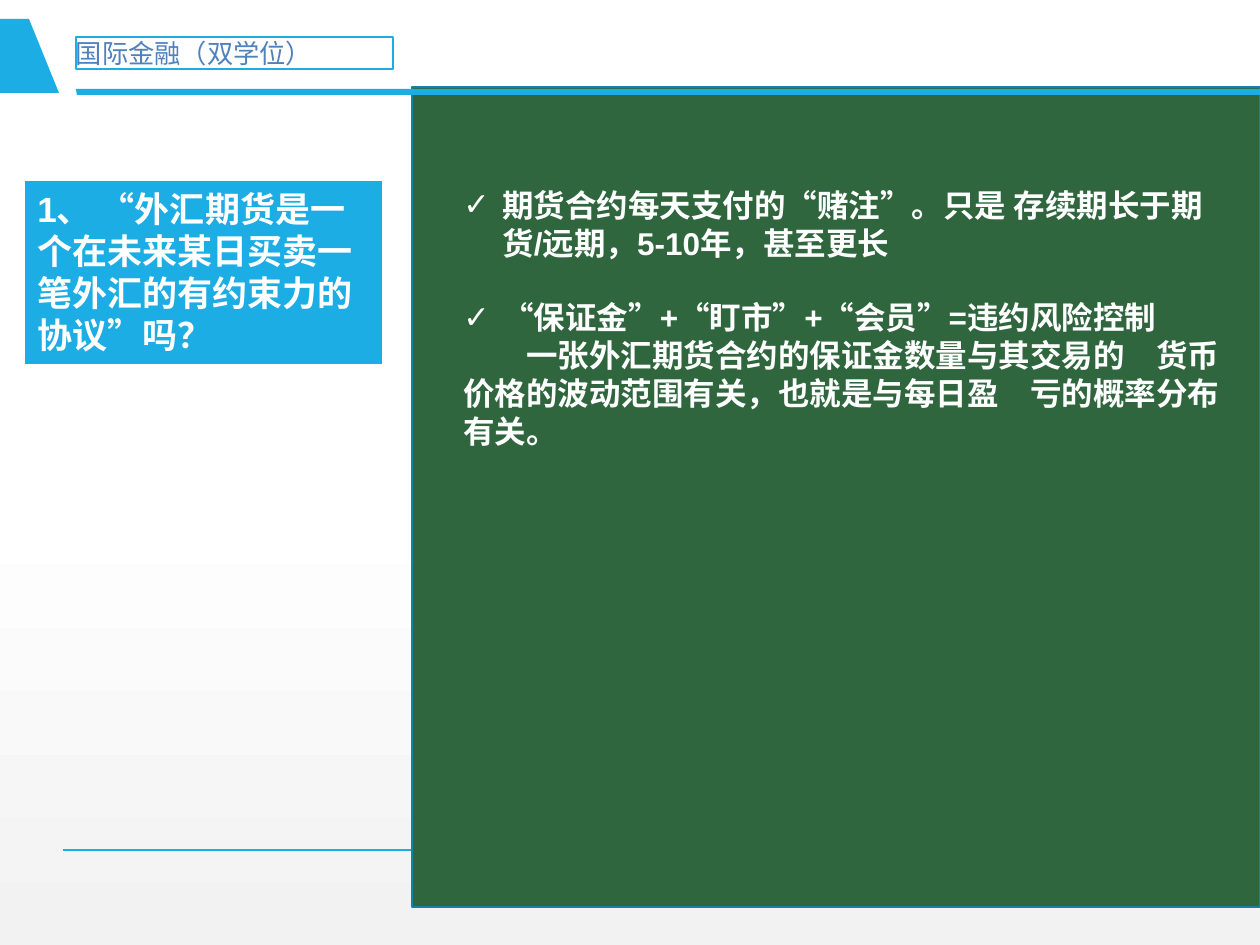
from lxml.etree import SubElement
from pptx import Presentation
from pptx.dml.color import RGBColor
from pptx.enum.shapes import MSO_CONNECTOR, MSO_SHAPE
from pptx.enum.text import MSO_ANCHOR, PP_ALIGN
from pptx.oxml.ns import qn
from pptx.util import Emu, Pt

SCALE = 914400 / 126
WIDTH, HEIGHT = 1260, 945
BLUE = RGBColor(0x1C, 0xAD, 0xE4)
DARK_BLUE = RGBColor(0x15, 0x80, 0xA9)
TITLE_BLUE = RGBColor(0x4F, 0x81, 0xBD)
GREEN = RGBColor(0x2F, 0x66, 0x3E)
WHITE = RGBColor(0xFF, 0xFF, 0xFF)
PALE = RGBColor(0xF2, 0xF2, 0xF2)

COURSE = "国际金融（双学位）"
QUESTION = "1、 “外汇期货是一个在未来某日买卖一笔外汇的有约束力的协议”吗？"
ANSWERS = [
    {"text": "期货合约每天支付的“赌注”。只是 存续期长于期货/远期，5-10年，甚至更长",
     "bullet": "✓"},
    {"text": "“保证金”+“盯市”+“会员”=违约风险控制",
     "bullet": "✓", "format": {"space_before": Pt(21)}},
    {"text": "\t一张外汇期货合约的保证金数量与其交易的\t货币价格的波动范围有关，"
             "也就是与每日盈\t亏的概率分布有关。"},
]


def px(value):
    return Emu(round(value * SCALE))


def apply(target, values):
    for name, value in values.items():
        setattr(target, name, value)


class Deck:
    font = "Arial"
    hang = 39

    def __init__(self):
        self.prs = Presentation()
        self.prs.slide_width, self.prs.slide_height = px(WIDTH), px(HEIGHT)
        self.s = self.prs.slides.add_slide(self.prs.slide_layouts[6])

    def background(self, top, bottom, start):
        fill = self.s.background.fill
        fill.gradient()
        fill.gradient_angle = 270
        for stop, color, position in zip(
                fill.gradient_stops, (top, bottom), (start, 1)):
            stop.color.rgb = color
            stop.position = position

    def paint(self, sp, fill=None, line=None, weight=1):
        sp.shadow.inherit = False
        if fill is None:
            sp.fill.background()
        else:
            sp.fill.solid()
            sp.fill.fore_color.rgb = fill
        if line is None:
            sp.line.fill.background()
        else:
            sp.line.color.rgb = line
            sp.line.width = Pt(weight)

    def rect(self, box, **style):
        sp = self.s.shapes.add_shape(MSO_SHAPE.RECTANGLE, *map(px, box))
        self.paint(sp, **style)
        return sp

    def polygon(self, points, color):
        builder = self.s.shapes.build_freeform(*points[0], scale=SCALE)
        builder.add_line_segments(points[1:])
        self.paint(builder.convert_to_shape(), color)

    def rule(self, x1, y, x2, color):
        line = self.s.shapes.add_connector(
            MSO_CONNECTOR.STRAIGHT, px(x1), px(y), px(x2), px(y))
        line.line.color.rgb = color
        line.line.width = Pt(1)
        SubElement(line._element.spPr, qn("a:effectLst"))

    def textbox(self, box):
        return self.s.shapes.add_textbox(*map(px, box))

    def bullet(self, p, char):
        pPr = p._p.get_or_add_pPr()
        pPr.set("marL", str(px(self.hang)))
        pPr.set("indent", str(-px(self.hang)))
        SubElement(pPr, qn("a:buFont"), typeface=self.font)
        SubElement(pPr, qn("a:buChar"), char=char)

    def text(self, sp, items, size, color, bold=False, **frame):
        tf = sp.text_frame
        apply(tf, {"word_wrap": True, **frame})
        for i, item in enumerate(items):
            p = tf.paragraphs[0] if i == 0 else tf.add_paragraph()
            apply(p, {"alignment": PP_ALIGN.LEFT, **item.get("format", {})})
            if "bullet" in item:
                self.bullet(p, item["bullet"])
            r = p.add_run()
            r.text = item["text"]
            apply(r.font, {"name": self.font, "size": Pt(size), "bold": bold})
            r.font.color.rgb = color


def main():
    deck = Deck()
    deck.background(WHITE, PALE, 0.53)
    deck.rule(63, 850, 1197, BLUE)
    deck.rect((412, 87, 848, 820), fill=GREEN, line=DARK_BLUE)
    deck.polygon([(76, 89), (1260, 89), (1260, 95), (77, 95)], BLUE)
    deck.polygon([(29, 19), (59, 93), (0, 93), (0, 19)], BLUE)

    title = deck.rect((76, 37, 317, 32), line=BLUE, weight=0.75)
    deck.text(title, [{"text": COURSE}], 15, TITLE_BLUE,
              margin_left=0, margin_top=0, margin_right=0, margin_bottom=0)

    question = deck.rect((25, 181, 357, 183), fill=BLUE)
    deck.text(question, [{"text": QUESTION}], 20, WHITE, bold=True,
              vertical_anchor=MSO_ANCHOR.TOP)

    answers = deck.textbox((451, 142, 784, 318))
    deck.text(answers, ANSWERS, 18, WHITE, bold=True, margin_top=px(44))

    deck.prs.save("out.pptx")


if __name__ == "__main__":
    main()
